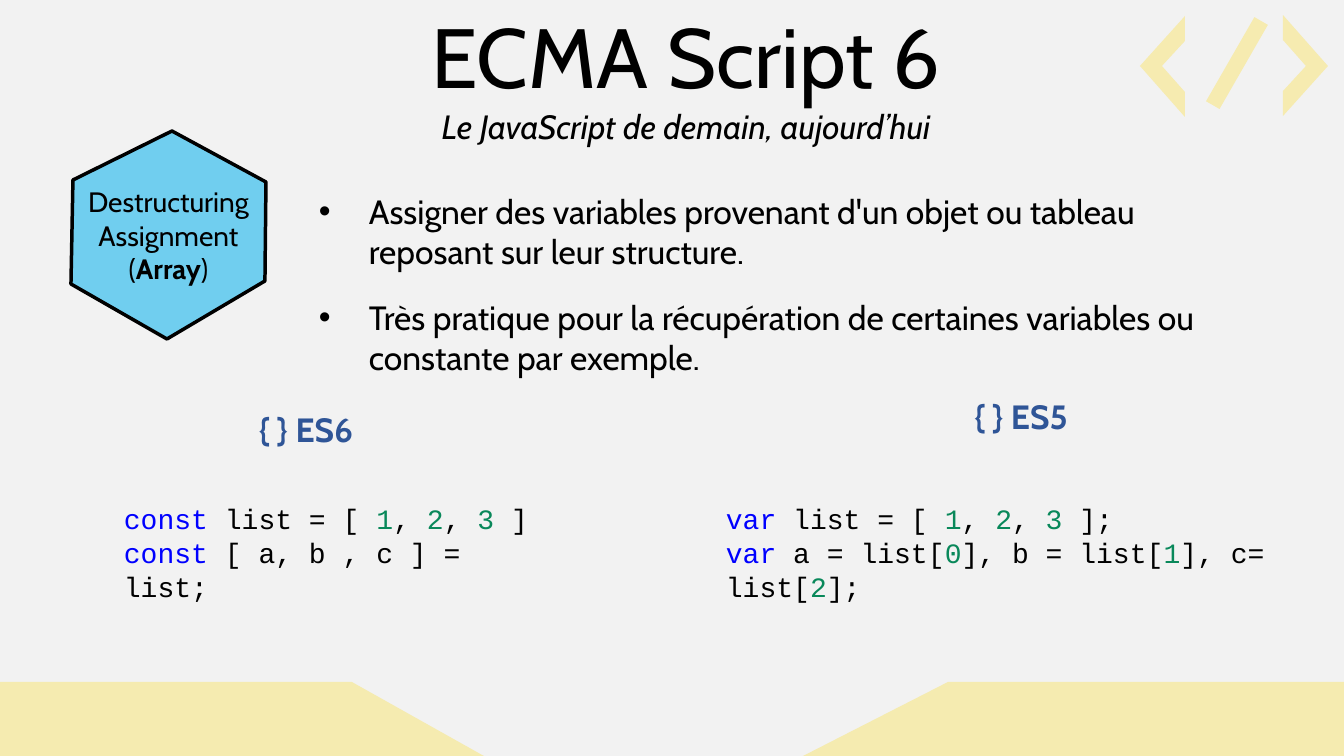
import pptx
import pptx.util
import pptx.dml.color
import pptx.enum.shapes
import pptx.enum.text
import pptx.oxml.ns
from lxml import etree

RGB = pptx.dml.color.RGBColor
ALIGN = pptx.enum.text.PP_ALIGN
ANCHOR = pptx.enum.text.MSO_ANCHOR
SCALE = 914400 / 100.8  # EMU per px
SLIDE_W, SLIDE_H = 1344, 756

BLACK = RGB(0x00, 0x00, 0x00)
BACKGROUND = RGB(0xF2, 0xF2, 0xF2)
BAND = RGB(0xF5, 0xEB, 0xB0)
TAG = RGB(0xF6, 0xEB, 0xB0)
HEXAGON = RGB(0x70, 0xCE, 0xEF)
HEADING = RGB(0x2F, 0x55, 0x97)
KEYWORD = RGB(0x00, 0x00, 0xFF)
NUMBER = RGB(0x09, 0x88, 0x5A)

# A paragraph is a list of runs: (text, format that differs from the box)
TITLE = [[("ECMA Script 6", {"size": 60})],
         [("Le JavaScript de demain, aujourd’hui", {"italic": True})]]
TITLE_BOX = (204, 0, 964, 152)

BULLETS = [
    (186, "Assigner des variables provenant d'un objet ou tableau reposant sur leur structure."),
    (292, "Très pratique pour la récupération de certaines variables ou constante par exemple."),
]
BULLET_LEFT, BULLET_W, BULLET_H, BULLET_INDENT = 309, 964, 92, 50

TOPIC = [[("Destructuring", {})],
         [("Assignment", {})],
         [("(", {}), ("Array", {"bold": True}), (")", {})]]
TOPIC_OUTLINE = [(71, 284), (73, 180), (172, 131), (266, 182), (265, 281), (167, 339)]

KEY, NUM = {"color": KEYWORD}, {"color": NUMBER}
LIST_VALUES = [(" list = [ ", {}), ("1", NUM), (", ", {}), ("2", NUM), (", ", {}), ("3", NUM)]
VERSIONS = [
    {"heading": "{ } ES6", "heading_box": (71, 404, 470, 50), "code_box": (114, 497, 436, 146),
     "code": [[("const", KEY), *LIST_VALUES, (" ]", {})],
              [("const", KEY), (" [ a, b , c ] = list;", {})]]},
    {"heading": "{ } ES5", "heading_box": (786, 391, 470, 50), "code_box": (716, 497, 628, 146),
     "code": [[("var", KEY), *LIST_VALUES, (" ];", {})],
              [("var", KEY), (" a = list[", {}), ("0", NUM), ("], b = list[", {}),
               ("1", NUM), ("], c= list[", {}), ("2", NUM), ("];", {})]]},
]

BAND_TOP = 682
BANDS = [
    [(0, BAND_TOP), (352, BAND_TOP), (484, SLIDE_H), (0, SLIDE_H)],
    [(948, BAND_TOP), (SLIDE_W, BAND_TOP), (SLIDE_W, SLIDE_H), (803, SLIDE_H)],
]
CHEVRONS = [(1185, 16, -1), (1283, 15, 1)]  # open side x, top, pointing direction
CHEVRON_W, CHEVRON_H = 45, 101
SLASH_BOX, SLASH_ANGLE = (1171, 30, 132, 66), 299.9


def px(length):
    return pptx.util.Emu(round(length * SCALE))


def write(frame, paragraphs, size=24, font="Cabin", color=BLACK, bold=False,
          italic=False, align=ALIGN.LEFT, anchor=ANCHOR.TOP, bullet_indent=None):
    frame.word_wrap = True
    frame.vertical_anchor = anchor
    for index, runs in enumerate(paragraphs):
        paragraph = frame.add_paragraph() if index else frame.paragraphs[0]
        paragraph.alignment = align
        if bullet_indent:
            properties = paragraph._p.get_or_add_pPr()
            properties.set("marL", str(px(bullet_indent)))
            properties.set("indent", str(-px(bullet_indent)))
            for tag, key, value in (("a:buFont", "typeface", "Arial"), ("a:buChar", "char", "•")):
                etree.SubElement(properties, pptx.oxml.ns.qn(tag)).set(key, value)
        for text, changes in runs:
            run = paragraph.add_run()
            run.text = text
            run.font.name = font
            run.font.size = pptx.util.Pt(changes.get("size", size))
            run.font.bold = changes.get("bold", bold)
            run.font.italic = changes.get("italic", italic)
            run.font.color.rgb = changes.get("color", color)


def add_text(slide, box, paragraphs, **text_format):
    write(slide.shapes.add_textbox(*map(px, box)).text_frame, paragraphs, **text_format)


def paint(shape, fill, line=None):
    shape.shadow.inherit = False
    shape.fill.solid()
    shape.fill.fore_color.rgb = fill
    if line is None:
        shape.line.fill.background()
    else:
        shape.line.color.rgb = line
        shape.line.width = pptx.util.Pt(2.5)


def add_polygon(slide, points, fill, line=None):
    builder = slide.shapes.build_freeform(*points[0], scale=SCALE)
    builder.add_line_segments(points[1:], close=True)
    polygon = builder.convert_to_shape()
    paint(polygon, fill, line)
    return polygon


def chevron_outline(x, top, direction):
    middle, bottom = top + CHEVRON_H / 2, top + CHEVRON_H
    tip, notch = x + direction * CHEVRON_W, x + direction * CHEVRON_W / 2
    return [(x, top), (tip, middle), (x, bottom),
            (x, bottom - CHEVRON_H / 4), (notch, middle), (x, top + CHEVRON_H / 4)]


def main():
    deck = pptx.Presentation()
    deck.slide_width, deck.slide_height = px(SLIDE_W), px(SLIDE_H)
    slide = deck.slides.add_slide(deck.slide_layouts[6])
    slide.background.fill.solid()
    slide.background.fill.fore_color.rgb = BACKGROUND

    for band in BANDS:
        add_polygon(slide, band, BAND)
    for chevron in CHEVRONS:
        add_polygon(slide, chevron_outline(*chevron), TAG)
    slash = slide.shapes.add_shape(pptx.enum.shapes.MSO_SHAPE.MATH_MINUS, *map(px, SLASH_BOX))
    slash.rotation = SLASH_ANGLE
    paint(slash, TAG)

    add_text(slide, TITLE_BOX, TITLE, align=ALIGN.CENTER)
    for top, text in BULLETS:
        add_text(slide, (BULLET_LEFT, top, BULLET_W, BULLET_H), [[(text, {})]],
                 bullet_indent=BULLET_INDENT)

    topic = add_polygon(slide, TOPIC_OUTLINE, HEXAGON, BLACK)
    write(topic.text_frame, TOPIC, size=20, align=ALIGN.CENTER, anchor=ANCHOR.MIDDLE)

    for version in VERSIONS:
        add_text(slide, version["heading_box"], [[(version["heading"], {})]],
                 color=HEADING, bold=True, align=ALIGN.CENTER)
        add_text(slide, version["code_box"], version["code"], size=20, font="Courier New")

    deck.save("out.pptx")


if __name__ == "__main__":
    main()
